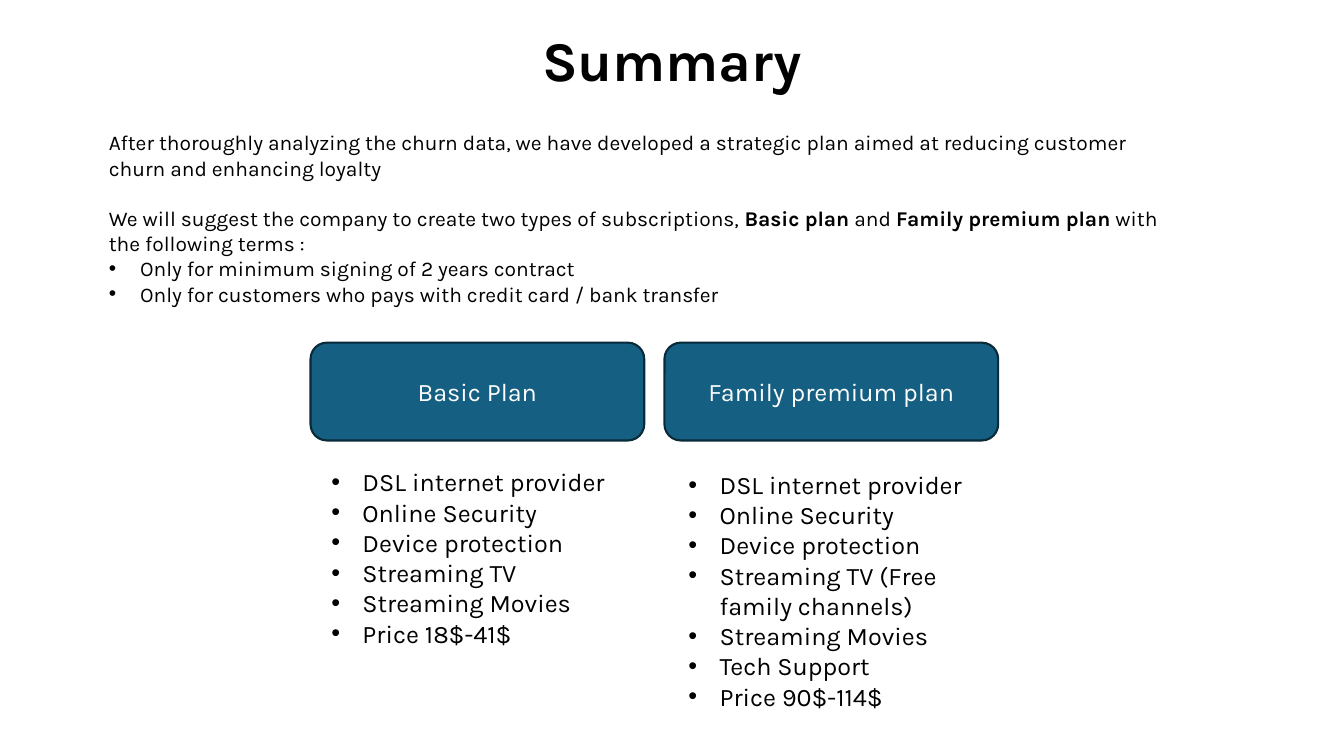
from lxml.etree import SubElement
from pptx import Presentation
from pptx.dml.color import RGBColor
from pptx.enum.shapes import MSO_SHAPE
from pptx.enum.text import MSO_ANCHOR, PP_ALIGN
from pptx.oxml.ns import qn
from pptx.util import Inches, Pt


def color(code):
    return RGBColor.from_string(code)


def write(frame, lines, size, ink="000000", bold=False, align=PP_ALIGN.LEFT,
          anchor=MSO_ANCHOR.TOP, side=0.1, bullet=False, gap=0, font="Karla"):
    frame.word_wrap = True
    frame.vertical_anchor = anchor
    frame.margin_left = frame.margin_right = Inches(side)
    for line in lines:
        first = frame.paragraphs[0]
        para = frame.add_paragraph() if first.runs else first
        para.alignment = align
        para.space_before = Pt(gap)
        if bullet:
            props = para._p.get_or_add_pPr()
            props.set("marL", str(Inches(0.31)))
            props.set("indent", str(-Inches(0.31)))
            SubElement(props, qn("a:buFont"), typeface="Arial")
            SubElement(props, qn("a:buChar"), char="•")
        for index, part in enumerate(line.split("**")):
            run = para.add_run()
            run.text = part
            run.font.name = font
            run.font.size = Pt(size)
            run.font.bold = bold or index % 2 == 1
            run.font.color.rgb = color(ink)


class Page:
    fill = "156082"
    edge = "092A39"

    def __init__(self, deck):
        self.slide = deck.slides.add_slide(deck.slide_layouts[6])

    def label(self, left, top, width, height):
        box = self.slide.shapes.add_textbox(
            Inches(left), Inches(top), Inches(width), Inches(height))
        return box.text_frame

    def panel(self, left, top, width, height, solid=True):
        shape = self.slide.shapes.add_shape(
            MSO_SHAPE.FLOWCHART_ALTERNATE_PROCESS,
            Inches(left), Inches(top), Inches(width), Inches(height))
        shape.shadow.inherit = False
        if solid:
            shape.fill.solid()
            shape.fill.fore_color.rgb = color(self.fill)
            shape.line.color.rgb = color(self.edge)
            shape.line.width = Pt(1.5)
        else:
            shape.fill.background()
            shape.line.fill.background()
        return shape.text_frame

    def plan(self, left, name, terms, height):
        write(self.panel(left, 3.4, 3.31, 0.97), [name], 18, ink="FFFFFF",
              align=PP_ALIGN.CENTER, anchor=MSO_ANCHOR.MIDDLE)
        write(self.panel(left, 4.43, 3.31, height, solid=False), terms, 18,
              anchor=MSO_ANCHOR.MIDDLE, bullet=True)


def main():
    deck = Presentation()
    deck.slide_width, deck.slide_height = Inches(13.33), Inches(7.5)
    page = Page(deck)
    write(page.label(0, 0.2, 13.33, 0.77), ["Summary"], 40, bold=True,
          align=PP_ALIGN.CENTER)

    intro = page.label(1.08, 1.24, 10.42, 2.12)
    write(intro, ["After thoroughly analyzing the churn data, we have developed "
                  "a strategic plan aimed at reducing customer churn and "
                  "enhancing loyalty"], 15, side=0)
    write(intro, ["We will suggest the company to create two types of "
                  "subscriptions, **Basic plan** and **Family premium plan** "
                  "with the following terms :"], 15, side=0, gap=18)
    write(intro, ["Only for minimum signing of 2 years contract",
                  "Only for customers who pays with credit card / bank transfer"],
          15, side=0, bullet=True)

    shared = ["DSL internet provider", "Online Security", "Device protection"]
    plans = [
        ("Basic Plan", ["Streaming TV", "Streaming Movies", "Price 18$-41$"], 2.2),
        ("Family premium plan",
         ["Streaming TV (Free family channels)", "Streaming Movies",
          "Tech Support", "Price 90$-114$"], 2.85),
    ]
    for index, (name, extras, height) in enumerate(plans):
        page.plan(3.08 + 3.51 * index, name, shared + extras, height)
    deck.save("out.pptx")


if __name__ == "__main__":
    main()
